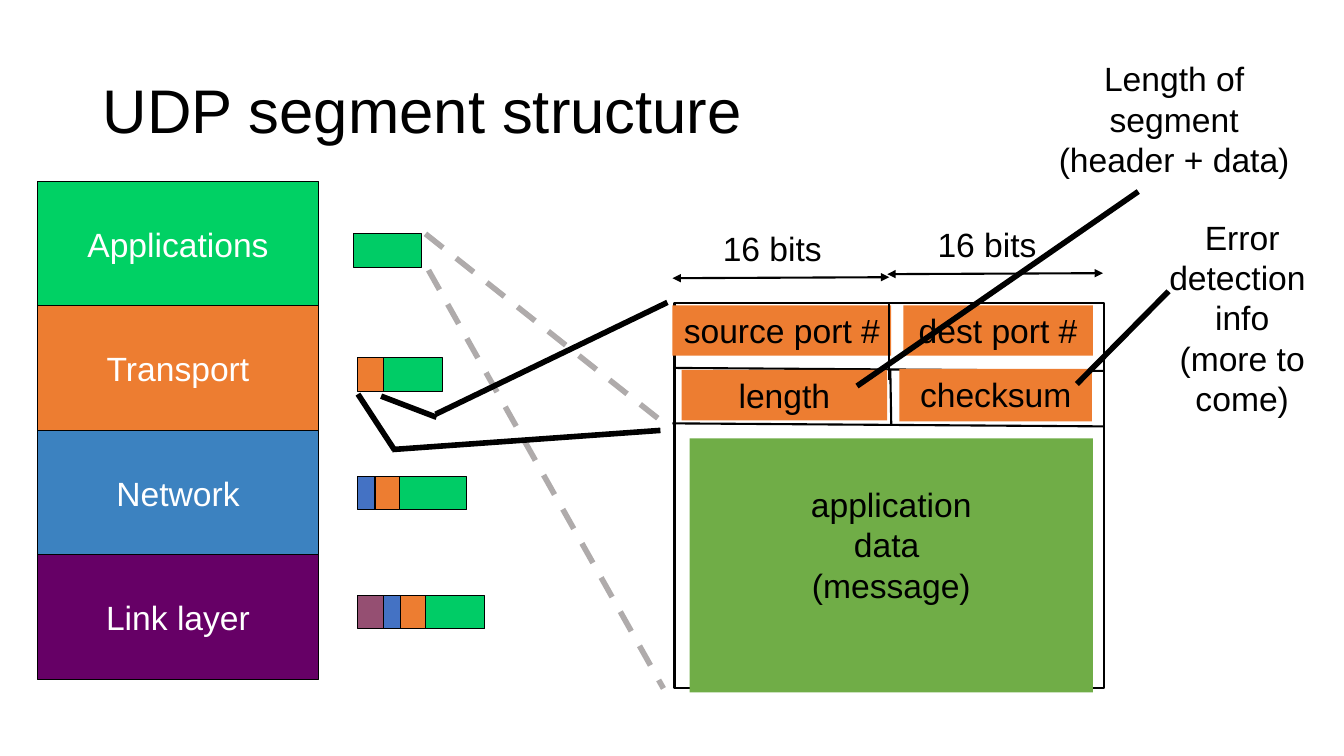
"""Build the UDP segment structure slide."""
from lxml import etree
from pptx import Presentation
from pptx import util as u
from pptx.dml.color import RGBColor
from pptx.enum import dml, shapes, text
from pptx.oxml.ns import qn


class Theme:
    font = "Arial"
    title_size, body_size = u.Pt(44), u.Pt(24)
    hairline, rule, callout = u.Pt(0.75), u.Pt(1.5), u.Pt(4)
    ink, paper, zoom = "000000", "FFFFFF", "AFABAB"
    header, message, data = "ED7D31", "70AD47", "00CC66"
    network_header, link_header = "4472C4", "954F72"
    applications, network, link = "00D164", "3C82C0", "660066"


COLUMNS, ROWS = 13.33, 7.5
deck = Presentation()
deck.slide_width, deck.slide_height = u.Inches(COLUMNS), u.Inches(ROWS)
column, row = deck.slide_width / COLUMNS, deck.slide_height / ROWS
slide = deck.slides.add_slide(deck.slide_layouts[5])


def block(place, label="", fill=None, outline=None, color=Theme.ink, wrap=False,
          align=text.PP_ALIGN.CENTER, anchor=text.MSO_ANCHOR.TOP):
    left, top, width, height = place
    frame = (int(left * column), int(top * row), int(width * column), int(height * row))
    if fill:
        shape = slide.shapes.add_shape(shapes.MSO_SHAPE.RECTANGLE, *frame)
        shape.shadow.inherit = False
        shape.fill.solid()
        shape.fill.fore_color.rgb = RGBColor.from_string(fill)
        if outline:
            shape.line.color.rgb = RGBColor.from_string(Theme.ink)
            shape.line.width = outline
        else:
            shape.line.fill.background()
    else:
        shape = slide.shapes.add_textbox(*frame)
    if label:
        body = shape.text_frame
        body.text = label
        body.word_wrap = wrap
        body.vertical_anchor = anchor
        for paragraph in body.paragraphs:
            paragraph.alignment = align
            paragraph.font.name = Theme.font
            paragraph.font.size = Theme.body_size
            paragraph.font.color.rgb = RGBColor.from_string(color)
    return shape


def stroke(start, end, width, color=Theme.ink, dashed=False, arrows=False):
    connector = slide.shapes.add_connector(
        shapes.MSO_CONNECTOR.STRAIGHT,
        int(start[0] * column), int(start[1] * row), int(end[0] * column), int(end[1] * row))
    connector.line.color.rgb = RGBColor.from_string(color)
    connector.line.width = width
    if dashed:
        connector.line.dash_style = dml.MSO_LINE.DASH
    if arrows:
        for tip in ("a:headEnd", "a:tailEnd"):
            etree.SubElement(connector.line._get_or_add_ln(), qn(tip), type="triangle")
    etree.SubElement(connector._element.spPr, qn("a:effectLst"))


heading = slide.shapes.title
heading.left, heading.top = int(0.92 * column), int(0.4 * row)
heading.width, heading.height = int(11.5 * column), int(1.45 * row)
heading.text_frame.text = "UDP segment structure"
heading.text_frame.vertical_anchor = text.MSO_ANCHOR.MIDDLE
heading_line = heading.text_frame.paragraphs[0]
heading_line.alignment = text.PP_ALIGN.LEFT
heading_line.line_spacing = 0.9
heading_line.font.name = Theme.font
heading_line.font.size = Theme.title_size
heading_line.font.color.rgb = RGBColor.from_string(Theme.ink)

block((10.39, 0.53, 2.51, 1.31), "Length of\nsegment\n(header + data)")

block((6.69, 3.01, 4.26, 3.82), fill=Theme.paper, outline=Theme.rule)
message = block((6.84, 4.35, 4, 2.52), "application\ndata \n(message)", Theme.message)
message.text_frame.margin_top = int(0.45 * row)
block((6.67, 3.03, 2.17, 0.5), "source port #", Theme.header)
block((8.96, 3.03, 1.88, 0.5), "dest port #", Theme.header)
for start, end in [((6.68, 3.65), (10.94, 3.68)), ((8.82, 3.77), (8.82, 3.01)),
                   ((8.84, 4.22), (8.83, 3.66))]:
    stroke(start, end, Theme.rule)
block((6.76, 3.67, 2.04, 0.5), "length", Theme.header)
block((8.92, 3.66, 1.91, 0.52), "checksum", Theme.header)
stroke((6.67, 4.2), (10.94, 4.23), Theme.rule)

for label_left, label_top, start, end in [(7.07, 2.21, (8.82, 2.75), (6.67, 2.76)),
                                          (9.2, 2.17, (10.94, 2.71), (8.8, 2.72))]:
    block((label_left, label_top, 1.19, 0.5), "16 bits", align=text.PP_ALIGN.LEFT)
    stroke(start, end, Theme.rule, arrows=True)

LAYER_TOP, LAYER_HEIGHT = 1.8, 1.235
layers = [("Applications", Theme.applications), ("Transport", Theme.header),
          ("Network", Theme.network), ("Link layer", Theme.link)]
for level, (layer, fill) in enumerate(layers):
    block((0.37, LAYER_TOP + level * LAYER_HEIGHT, 2.79, LAYER_HEIGHT), layer, fill,
          Theme.hairline, Theme.paper, anchor=text.MSO_ANCHOR.MIDDLE)

packets = [
    (2.32, [(Theme.data, 3.51, 0.67)]),
    (3.55, [(Theme.data, 3.72, 0.67), (Theme.header, 3.55, 0.25)]),
    (4.73, [(Theme.header, 3.64, 0.33), (Theme.network_header, 3.55, 0.17),
            (Theme.data, 3.96, 0.67)]),
    (5.91, [(Theme.data, 4.14, 0.67), (Theme.header, 3.89, 0.33),
            (Theme.network_header, 3.64, 0.33), (Theme.link_header, 3.55, 0.25)]),
]
for packet_top, parts in packets:
    for fill, left, width in parts:
        block((left, packet_top, width, 0.33), fill=fill, outline=Theme.hairline)

for start, end in [((4.22, 2.32), (6.55, 4.17)), ((4.25, 2.68), (6.58, 6.83))]:
    stroke(start, end, Theme.callout, Theme.zoom, dashed=True)
for start, end in [((3.89, 4.46), (6.55, 4.27)), ((3.91, 4.46), (3.55, 3.91)),
                   ((4.32, 4.11), (6.62, 3)), ((4.33, 4.14), (3.78, 3.93))]:
    stroke(start, end, Theme.callout)

block((11.16, 2.1, 2.32, 2.12), "Error detection \ninfo\n(more to come)", wrap=True)
for start, end in [((11.59, 2.89), (10.68, 3.81)), ((11.29, 1.9), (8.5, 3.83))]:
    stroke(start, end, Theme.callout)

deck.save("out.pptx")
